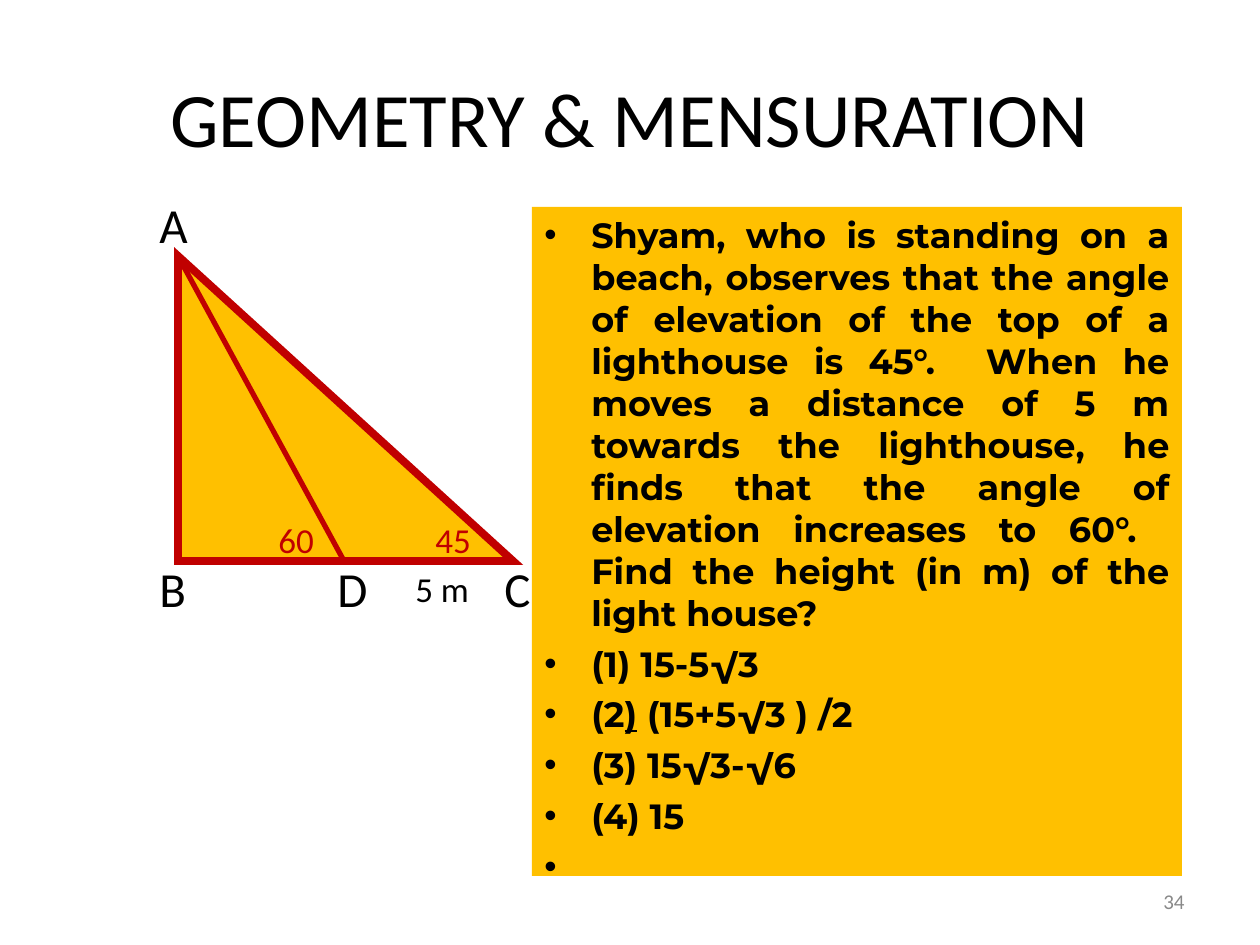
import pptx
import pptx.util
import pptx.dml.color
import pptx.enum.shapes
import pptx.enum.text
import pptx.oxml
import pptx.oxml.ns

PX = 914400 // 126
HUES = {"ink": "000000", "gold": "FFC000", "red": "C00000", "gray": "898989"}
ALIGN = pptx.enum.text.PP_ALIGN
SHAPE = pptx.enum.shapes.MSO_SHAPE
NS = pptx.oxml.ns.nsdecls("a")


def paint(font, size, hue, face="Calibri", bold=False):
    font.size = pptx.util.Pt(size)
    font.name = face
    font.bold = bold
    font.color.rgb = pptx.dml.color.RGBColor.from_string(HUES[hue])


def label(text, box, size, hue, align=ALIGN.LEFT):
    note = slide.shapes.add_textbox(*[n * PX for n in box])
    note.text_frame.word_wrap = True
    note.text_frame.text = text
    para = note.text_frame.paragraphs[0]
    para.alignment = align
    paint(para.runs[0].font, size, hue)
    return note


deck = pptx.Presentation()
deck.slide_width = 1260 * PX
deck.slide_height = 945 * PX
slide = deck.slides.add_slide(deck.slide_layouts[5])

title = slide.shapes.title
title.left, title.top, title.width, title.height = [n * PX for n in (63, 38, 1134, 157)]
title.text_frame.text = "GEOMETRY & MENSURATION"
title.text_frame.vertical_anchor = pptx.enum.text.MSO_ANCHOR.MIDDLE
head = title.text_frame.paragraphs[0]
head.alignment = ALIGN.CENTER
paint(head.runs[0].font, 44, "ink")

panel = slide.shapes.add_shape(SHAPE.RECTANGLE, *[n * PX for n in (532, 207, 650, 669)])
panel.shadow.inherit = False
panel.fill.solid()
panel.fill.fore_color.rgb = pptx.dml.color.RGBColor.from_string(HUES["gold"])
panel.line.fill.background()
frame = panel.text_frame
frame.word_wrap = True
frame.vertical_anchor = pptx.enum.text.MSO_ANCHOR.TOP

lines = [
    ["Shyam, who is standing on a beach, observes that the angle of elevation "
     "of the top of a lighthouse is 45°.  When he moves a distance of 5 m "
     "towards the lighthouse, he finds that the angle of elevation increases "
     "to 60°.  Find the height (in m) of the light house?"],
    ["(1) 15-5√3"],
    ["(2", ")", " (15+5√3 ) /2"],
    ["(3) 15√3-√6"],
    ["(4) 15"],
    [" "],
]
for row, parts in enumerate(lines):
    para = frame.add_paragraph() if row else frame.paragraphs[0]
    props = para._p.get_or_add_pPr()
    props.set("marL", str(47 * PX))
    props.set("indent", str(-47 * PX))
    for tag in (f'<a:buClr {NS}><a:srgbClr val="{HUES["ink"]}"/></a:buClr>',
                f'<a:buFont {NS} typeface="Arial"/>',
                f'<a:buChar {NS} char="•"/>'):
        props.append(pptx.oxml.parse_xml(tag))
    para.alignment = ALIGN.JUSTIFY
    if row:
        para.space_before = pptx.util.Pt(5)
    face = "Calibri" if parts == [" "] else "Montserrat"
    for part in parts:
        run = para.add_run()
        run.text = part
        paint(run.font, 20, "ink", face, face == "Montserrat")
        if part == ")":
            run.font.underline = True

page = label("34", (903, 876, 294, 50), 12, "gray", ALIGN.RIGHT)
page.text_frame.vertical_anchor = pptx.enum.text.MSO_ANCHOR.MIDDLE

left, top, wide, high = 178, 256, 335, 305
tri = slide.shapes.add_shape(SHAPE.RIGHT_TRIANGLE, *[n * PX for n in (left, top, wide, high)])
tri.shadow.inherit = False
tri.fill.solid()
tri.fill.fore_color.rgb = pptx.dml.color.RGBColor.from_string(HUES["gold"])
slant = slide.shapes.add_connector(
    pptx.enum.shapes.MSO_CONNECTOR.STRAIGHT,
    left * PX, top * PX, 344 * PX, (top + high) * PX)
slant._element.spPr.append(pptx.oxml.parse_xml(f"<a:effectLst {NS}/>"))
for edge, width in ((tri, 4.5), (slant, 3)):
    edge.line.color.rgb = pptx.dml.color.RGBColor.from_string(HUES["red"])
    edge.line.width = pptx.util.Pt(width)
tri.line._get_or_add_ln().append(pptx.oxml.parse_xml(f'<a:miter {NS} lim="800000"/>'))

for text, x, y in (("A", 147, 188), ("C", 492, 552), ("D", 325, 552), ("B", 147, 552)):
    label(text, (x, y, 50, 59), 28, "ink")
for text, x in (("45", 423), ("60", 266)):
    label(text, (x, 512, 78, 69), 20, "red")
label("5 m", (403, 561, 88, 59), 20, "ink")

deck.save("out.pptx")
